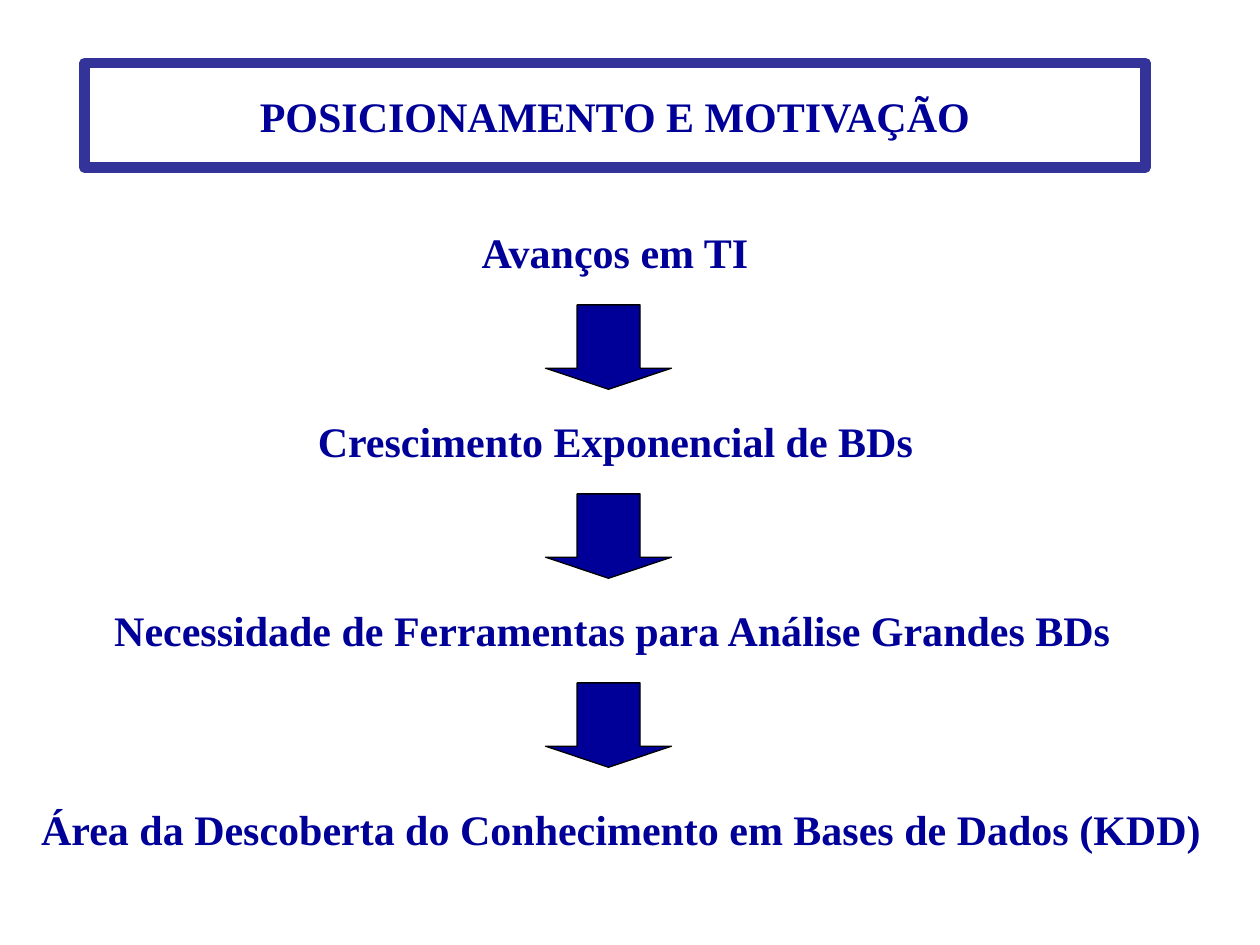
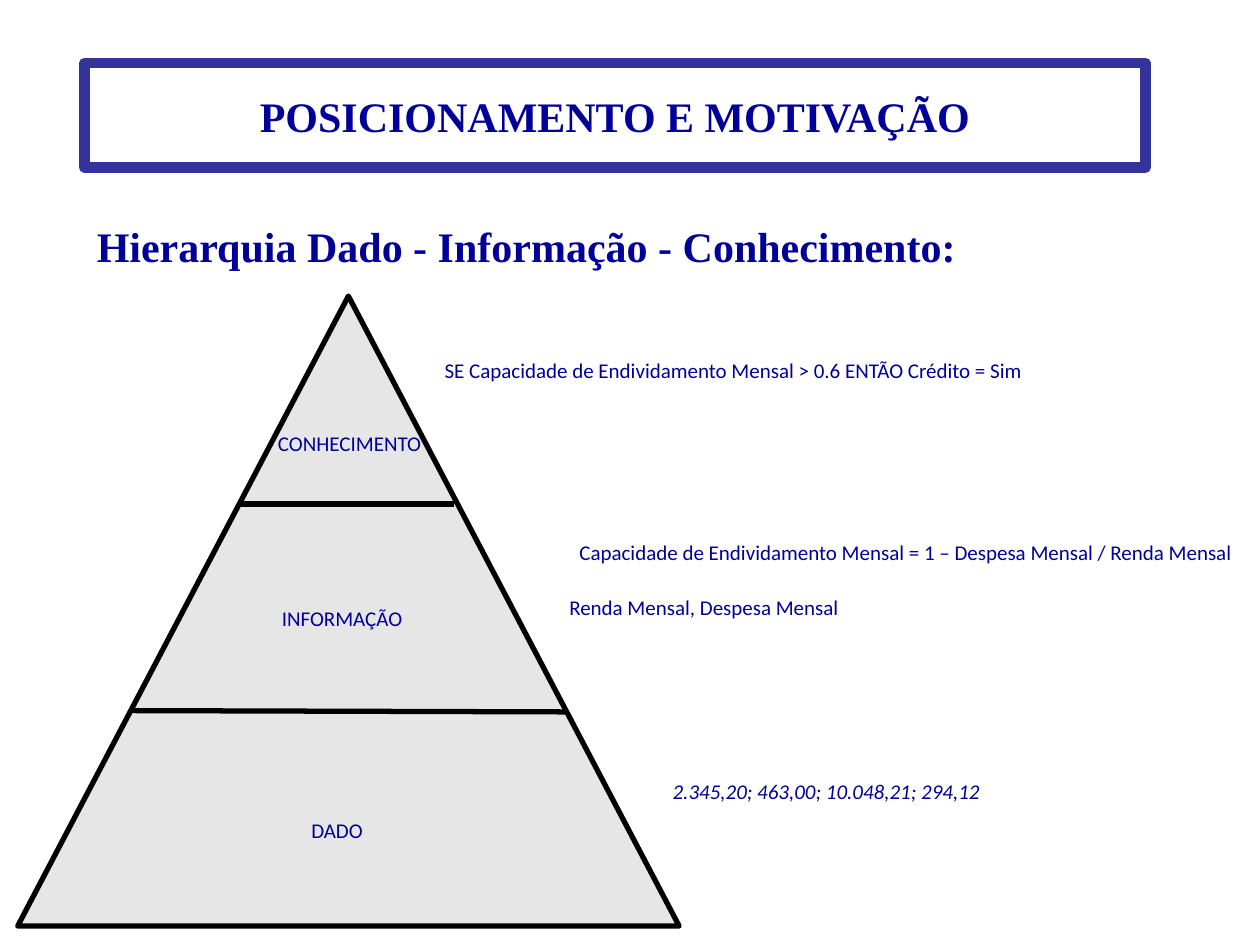
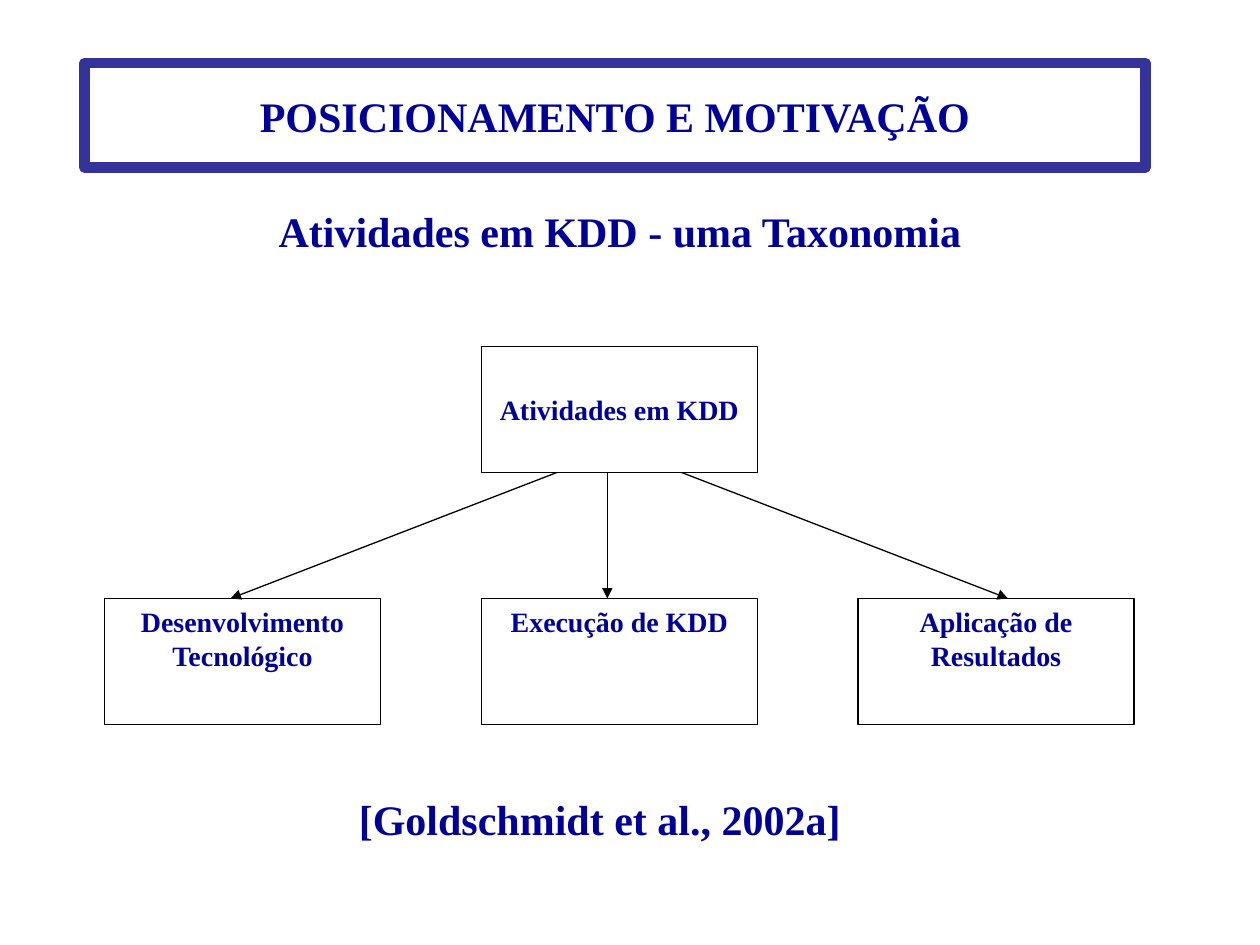
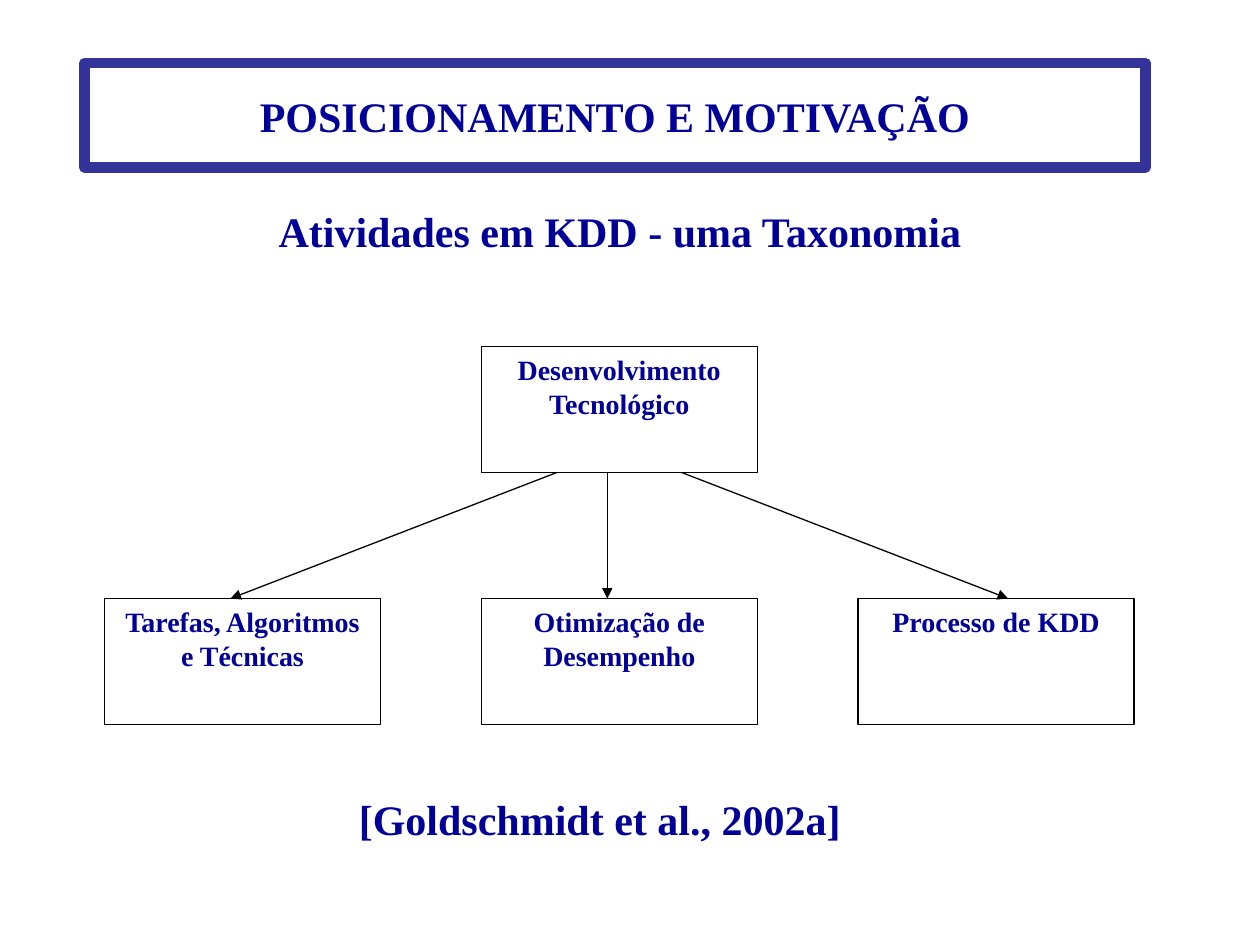
from lxml.etree import SubElement
from pptx import Presentation
from pptx.dml.color import RGBColor
from pptx.enum.shapes import MSO_CONNECTOR as Connector, MSO_SHAPE as Shape
from pptx.enum.text import MSO_ANCHOR as Anchor, MSO_AUTO_SIZE as AutoSize, PP_ALIGN as Align
from pptx.oxml.ns import qn
from pptx.util import Inches, Pt

COLORS = {"text": "000099", "frame": "333399", "line": "000000",
          "pyramid": "E7E6E6", "white": "FFFFFF"}
SERIF, SANS = "Times New Roman", "Calibri"
TITLE = "POSICIONAMENTO E MOTIVAÇÃO"


class SlideBuilder:
    """Holds the deck style and draws elements on the current slide."""

    def __init__(self):
        self.deck = Presentation()
        self.deck.slide_width, self.deck.slide_height = Inches(10), Inches(7.5)
        self.page = None

    def color(self, name):
        return RGBColor.from_string(COLORS[name])

    def outline(self, item, color, width):
        item.line.color.rgb = self.color(color)
        item.line.width = Pt(width)

    def set_text(self, box, text, size=24, font=SERIF, bold=True, italic=False,
                 align=Align.CENTER, anchor=Anchor.TOP, wrap=True):
        frame = box.text_frame
        frame.text = text
        frame.word_wrap = wrap
        frame.auto_size = AutoSize.NONE
        frame.vertical_anchor = anchor
        para = frame.paragraphs[0]
        para.alignment = align
        para.font.name, para.font.size = font, Pt(size)
        para.font.bold, para.font.italic = bold, italic
        para.font.color.rgb = self.color("text")

    def new_page(self):
        self.page = self.deck.slides.add_slide(self.deck.slide_layouts[5])
        title = self.page.shapes.title
        title.left, title.top = Inches(0.67), Inches(0.5)
        title.width, title.height = Inches(8.42), Inches(0.83)
        self.outline(title, "frame", 6)
        self.set_text(title, TITLE, anchor=Anchor.MIDDLE)

    def text(self, text, left, top, width, height=0.5, **style):
        box = self.page.shapes.add_textbox(
            Inches(left), Inches(top), Inches(width), Inches(height))
        self.set_text(box, text, **style)

    def label(self, text, left, top, width, **style):
        self.text(text, left, top, width, 0.3, size=12, font=SANS, bold=False, **style)

    def shape(self, kind, left, top, width, height, fill, line_width=0.75):
        item = self.page.shapes.add_shape(
            kind, Inches(left), Inches(top), Inches(width), Inches(height))
        item.shadow.inherit = False
        item.fill.solid()
        item.fill.fore_color.rgb = self.color(fill)
        self.outline(item, "line", line_width)
        return item

    def node(self, text, left, top, anchor=Anchor.TOP):
        box = self.shape(Shape.RECTANGLE, left, top, 2.19, 1, "white")
        self.set_text(box, text, size=16, anchor=anchor)

    def line(self, start, end, width=0.75, arrow=False):
        link = self.page.shapes.add_connector(
            Connector.STRAIGHT, *(Inches(value) for value in (*start, *end)))
        self.outline(link, "line", width)
        if arrow:
            SubElement(link.get_or_add_ln(), qn("a:tailEnd"), type="triangle")
        SubElement(link.element.spPr, qn("a:effectLst"))

    def taxonomy(self, root, children, root_anchor=Anchor.TOP):
        self.new_page()
        self.text("Atividades em KDD - uma Taxonomia", 0.67, 1.58, 8.5, 0.58)
        root_top, child_top = 2.75, 4.75
        self.node(root, 3.82, root_top, root_anchor)
        for index, child in enumerate(children):
            self.node(child, 0.83 + 2.99 * index, child_top)
        for start, end in ((4.42, 1.83), (4.82, 4.82), (5.41, 8)):
            self.line((start, root_top + 1), (end, child_top), arrow=True)
        self.text("[Goldschmidt et al., 2002a]", 1.25, 6.25, 7.02)


def motivation(builder):
    builder.new_page()
    builder.text("Avanços em TI", 0.67, 1.75, 8.42)
    steps = (("Crescimento Exponencial de BDs", 2.42, 3.25, 4.93),
             ("Necessidade de Ferramentas para Análise Grandes BDs", 0.8, 4.75, 8.12),
             ("Área da Descoberta do Conhecimento em Bases de Dados (KDD)", 0.23, 6.33, 9.4))
    for index, (text, left, top, width) in enumerate(steps):
        builder.text(text, left, top, width, wrap=False)
        arrow = builder.shape(Shape.DOWN_ARROW, 4.33, 2.42 + 1.5 * index, 1, 0.67, "text")
        arrow.adjustments[0], arrow.adjustments[1] = 0.5, 0.25


def hierarchy(builder):
    builder.new_page()
    builder.text("Hierarquia Dado - Informação - Conhecimento:", 0.67, 1.7, 9.33,
                 align=Align.LEFT)
    builder.shape(Shape.ISOSCELES_TRIANGLE, 0.14, 2.35, 5.25, 5, "pyramid", 3)
    builder.line((1.9, 4), (3.6, 4), 3)
    builder.line((1.05, 5.64), (4.5, 5.65), 3)
    for text, left, top in (("CONHECIMENTO", 2.08, 3.37),
                            ("INFORMAÇÃO", 2.02, 4.76),
                            ("DADO", 1.98, 6.44)):
        builder.label(text, left, top, 1.39)
    examples = (
        ("SE Capacidade de Endividamento Mensal > 0.6 ENTÃO Crédito = Sim",
         3.43, 2.79, 4.81, False),
        ("Capacidade de Endividamento Mensal = 1 – Despesa Mensal / Renda Mensal",
         4.5, 4.23, 5.39, False),
        ("Renda Mensal, Despesa Mensal", 4.42, 4.67, 2.34, False),
        ("2.345,20; 463,00; 10.048,21; 294,12", 5.24, 6.13, 2.64, True))
    for text, left, top, width, italic in examples:
        builder.label(text, left, top, width, italic=italic, align=Align.LEFT, wrap=False)


def main():
    builder = SlideBuilder()
    motivation(builder)
    hierarchy(builder)
    builder.taxonomy("Atividades em KDD",
                     ("Desenvolvimento Tecnológico", "Execução de KDD",
                      "Aplicação de Resultados"), Anchor.MIDDLE)
    builder.taxonomy("Desenvolvimento Tecnológico",
                     ("Tarefas, Algoritmos e Técnicas", "Otimização de Desempenho",
                      "Processo de KDD"))
    builder.deck.save("out.pptx")


if __name__ == "__main__":
    main()
